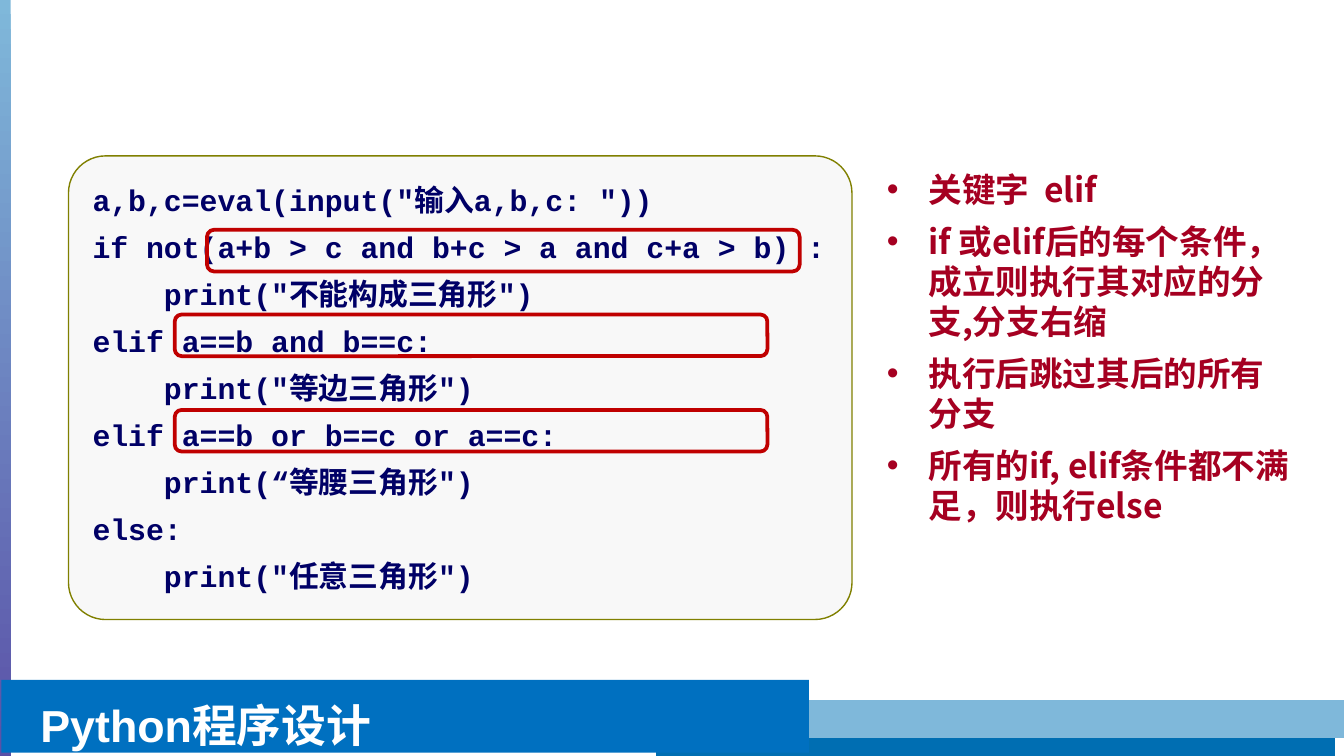
"""Build the slide on Python elif branches."""
from dataclasses import dataclass

from lxml import etree
from pptx import Presentation
from pptx.dml.color import RGBColor
from pptx.enum.shapes import MSO_CONNECTOR, MSO_SHAPE
from pptx.enum.text import MSO_ANCHOR, PP_ALIGN
from pptx.oxml.ns import qn
from pptx.util import Inches, Pt

RECT, ROUND = MSO_SHAPE.RECTANGLE, MSO_SHAPE.ROUNDED_RECTANGLE
STRAIGHT = MSO_CONNECTOR.STRAIGHT
TOP, MIDDLE = MSO_ANCHOR.TOP, MSO_ANCHOR.MIDDLE
LEFT = PP_ALIGN.LEFT
WIDTH = 10
HEIGHT = WIDTH * 9 / 16

CODE = [
    'a,b,c=eval(input("输入a,b,c: "))',
    'if not(a+b > c and b+c > a and c+a > b) :',
    '    print("不能构成三角形")',
    'elif a==b and b==c:',
    '    print("等边三角形")',
    'elif a==b or b==c or a==c:',
    '    print(“等腰三角形")',
    'else:',
    '    print("任意三角形")',
]
NOTES = [
    "关键字  elif",
    "if 或elif后的每个条件，成立则执行其对应的分支,分支右缩",
    "执行后跳过其后的所有分支",
    "所有的if, elif条件都不满足，则执行else",
]


@dataclass
class Box:
    """Position and size in inches."""
    x: float
    y: float
    w: float
    h: float


@dataclass
class Bar:
    """Thick horizontal line of the footer."""
    x1: float
    x2: float
    y: float
    color: str
    width: float


BARS = [Bar(4.88, 9.93, 5.54, "006EB2", 16), Bar(4.74, 10.04, 5.35, "7FB8DA", 20)]
CONDITIONS = [Box(x, y, 4.41, 0.31) for x, y in ((1.54, 1.71), (1.3, 2.34), (1.3, 3.05))]


def rgb(color: str) -> RGBColor:
    """Turn a hex string into a colour."""
    return RGBColor.from_string(color)


def add_box(s, kind, box: Box, fill=None, line=None, width=1.0):
    """Draw a preset shape with optional fill and outline."""
    sp = s.shapes.add_shape(kind, Inches(box.x), Inches(box.y), Inches(box.w), Inches(box.h))
    sp.shadow.inherit = False
    if fill:
        sp.fill.solid()
        sp.fill.fore_color.rgb = rgb(fill)
    else:
        sp.fill.background()
    if line:
        sp.line.color.rgb = rgb(line)
        sp.line.width = Pt(width)
    else:
        sp.line.fill.background()
    return sp


def add_bar(s, bar: Bar) -> None:
    """Draw one footer bar."""
    cx = s.shapes.add_connector(STRAIGHT, Inches(bar.x1), Inches(bar.y), Inches(bar.x2), Inches(bar.y))
    cx.line.color.rgb = rgb(bar.color)
    cx.line.width = Pt(bar.width)
    etree.SubElement(cx._element.spPr, qn("a:effectLst"))


def add_bullet(p, indent: float) -> None:
    """Give a paragraph a hanging round bullet."""
    pPr = p._p.get_or_add_pPr()
    pPr.set("marL", str(Inches(indent)))
    pPr.set("indent", str(-Inches(indent)))
    etree.SubElement(pPr, qn("a:buFont")).set("typeface", "Arial")
    etree.SubElement(pPr, qn("a:buChar")).set("char", "•")


def write(sp, lines, size, font, color, east=None, before=0.0, spacing=None,
          bullet=0.0, anchor=TOP, left=0.1, right=0.1) -> None:
    """Fill a shape with bold paragraphs in one format."""
    tf = sp.text_frame
    tf.word_wrap = True
    tf.vertical_anchor = anchor
    tf.margin_left, tf.margin_right = Inches(left), Inches(right)
    for i, text in enumerate(lines):
        p = tf.paragraphs[0] if i == 0 else tf.add_paragraph()
        p.alignment = LEFT
        p.space_before = Pt(before if i else 0)
        if spacing:
            p.line_spacing = spacing
        if bullet:
            add_bullet(p, bullet)
        r = p.add_run()
        r.text = text
        r.font.size, r.font.bold, r.font.name = Pt(size), True, font
        r.font.color.rgb = rgb(color)
        etree.SubElement(r._r.get_or_add_rPr(), qn("a:ea")).set("typeface", east or font)


def add_side_strip(s) -> None:
    """Draw the gradient strip at the left edge."""
    sp = add_box(s, RECT, Box(-0.02, 0, 0.1, 7.45))
    sp.fill.gradient()
    sp.fill.gradient_angle = 270
    for stop, color in zip(sp.fill.gradient_stops, ("7FB8DA", "4E2E96")):
        stop.color.rgb = rgb(color)


def main() -> None:
    """Build and save the slide."""
    prs = Presentation()
    prs.slide_width, prs.slide_height = Inches(WIDTH), Inches(HEIGHT)
    s = prs.slides.add_slide(prs.slide_layouts[6])

    add_side_strip(s)
    for bar in BARS:
        add_bar(s, bar)
    footer = add_box(s, RECT, Box(0.01, 5.06, 6.01, 0.54), fill="0070C0")
    write(footer, ["Python程序设计"], 24, "Arial", "FFFFFF", east="Noto Sans CJK JP",
          spacing=1.2, left=0.29)

    code = add_box(s, ROUND, Box(0.51, 1.16, 5.83, 3.45), "F8F8F8", "808000", 0.75)
    code.adjustments[0] = 0.08
    write(code, CODE, 16, "Courier New", "000066", before=6, anchor=MIDDLE, right=0)

    add_condition, *others = CONDITIONS
    add_box(s, ROUND, add_condition, line="C00000", width=2)
    notes = s.shapes.add_textbox(Inches(6.5), Inches(1.21), Inches(3.23), Inches(3.16))
    write(notes, NOTES, 18, "Noto Sans CJK SC", "A50021", before=6, bullet=0.31)
    for box in others:
        add_box(s, ROUND, box, line="C00000", width=2)
    prs.save("out.pptx")


if __name__ == "__main__":
    main()
